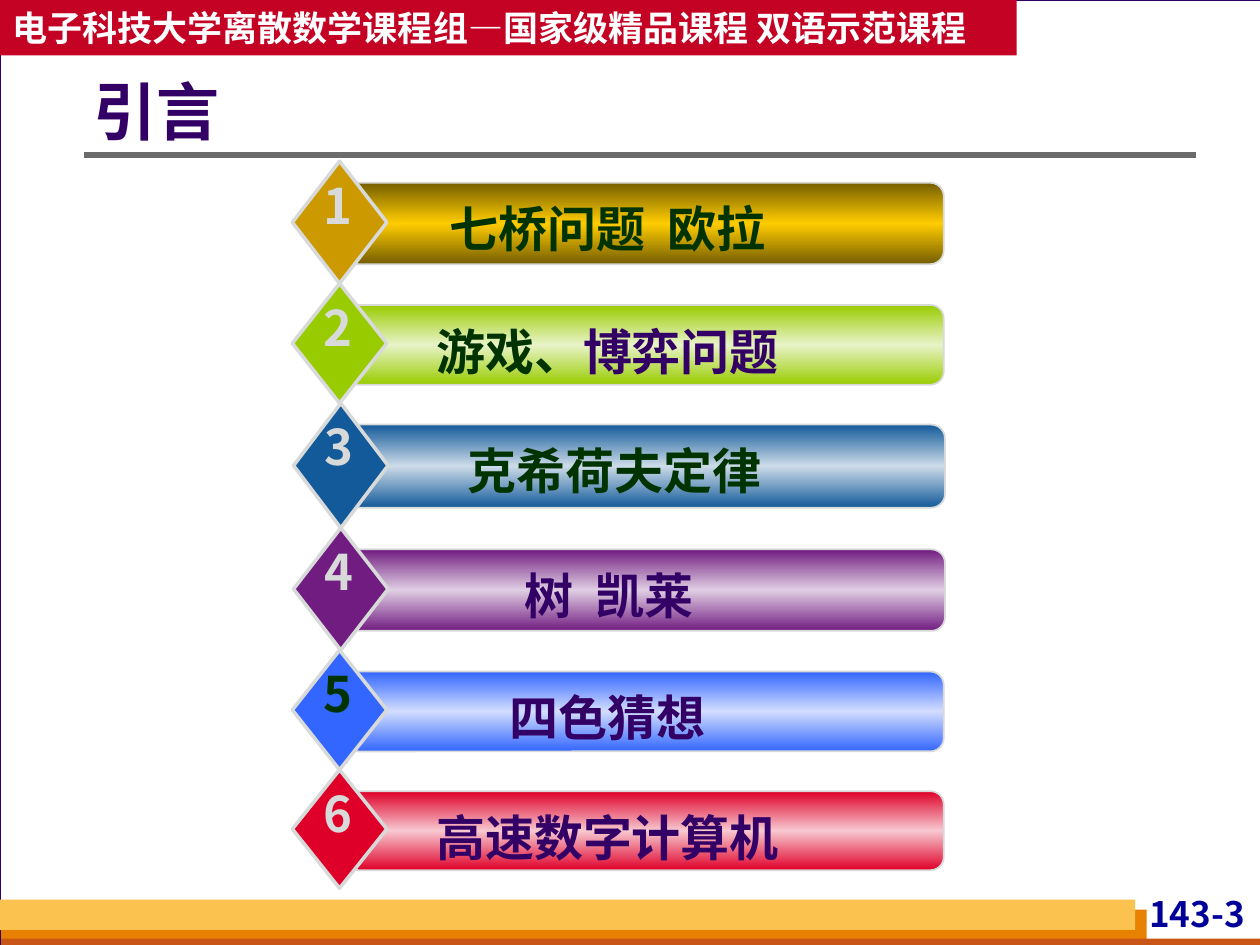
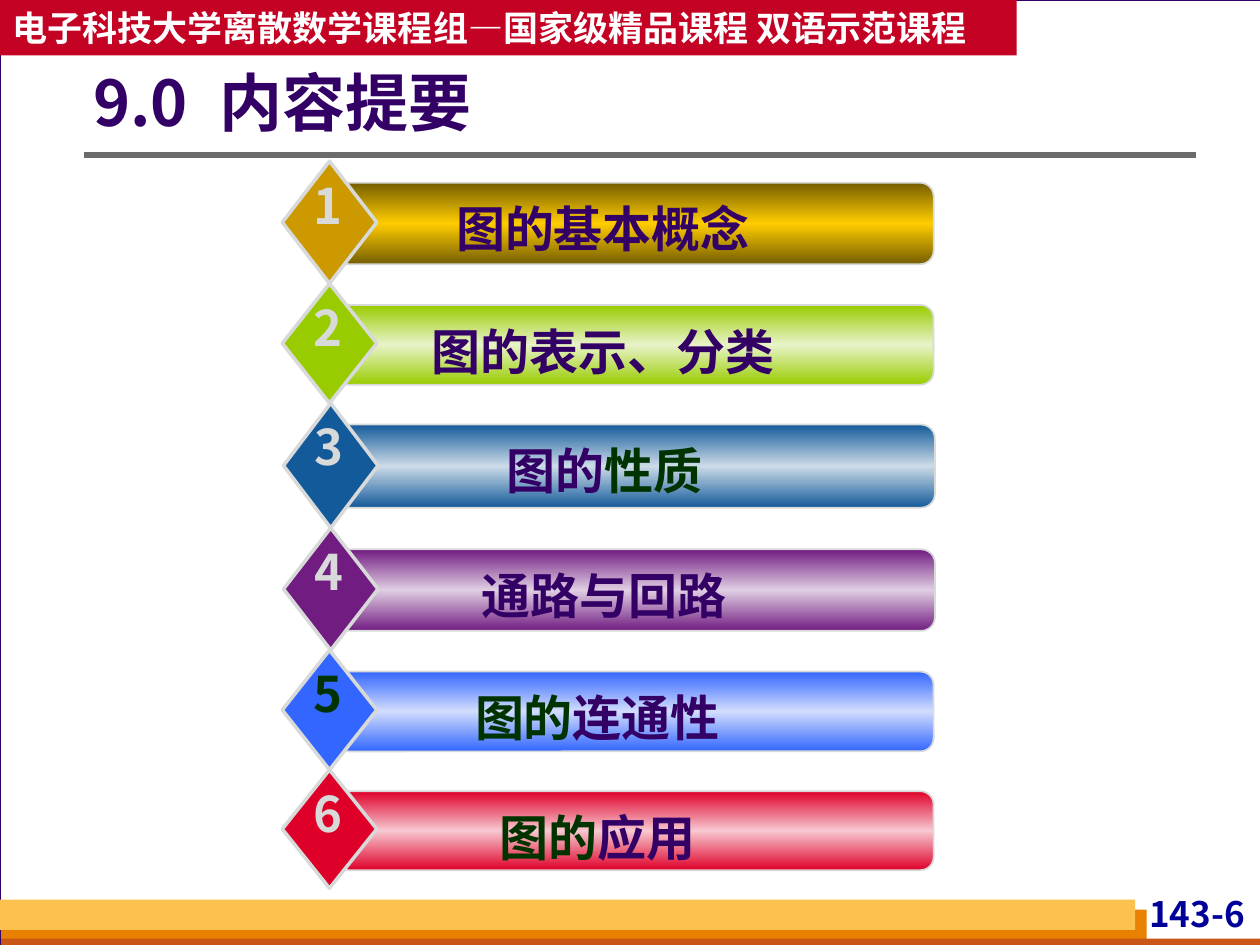
from copy import deepcopy

from pptx import Presentation
from pptx.dml.color import RGBColor
from pptx.enum.shapes import MSO_CONNECTOR as Connector, MSO_SHAPE as Shape
from pptx.enum.text import MSO_ANCHOR as Anchor, MSO_AUTO_SIZE as AutoSize, PP_ALIGN as Align
from pptx.oxml.ns import qn
from pptx.util import Inches, Pt

WHITE = RGBColor(0xFF, 0xFF, 0xFF)
SILVER = RGBColor(0xD8, 0xDA, 0xDA)
GRAY = RGBColor(0x6B, 0x6B, 0x6B)
PURPLE = RGBColor(0x33, 0x00, 0x66)
DARK_GREEN = RGBColor(0x00, 0x33, 0x00)
NAVY = RGBColor(0x00, 0x00, 0x99)
BANNER_RED = RGBColor(0xC3, 0x02, 0x24)
ORANGE = RGBColor(0xE8, 0x80, 0x00)
RUST = RGBColor(0xC9, 0x56, 0x16)
AMBER = RGBColor(0xFC, 0xC2, 0x4F)
OCHRE = RGBColor(0xCC, 0x99, 0x00)
BRONZE = RGBColor(0x75, 0x5E, 0x00)
GOLD = RGBColor(0xFF, 0xCC, 0x00)
LIME = RGBColor(0x99, 0xCC, 0x00)
PALE_LIME = RGBColor(0xE8, 0xF3, 0xC8)
STEEL = RGBColor(0x13, 0x5A, 0x9A)
PALE_STEEL = RGBColor(0xCC, 0xDB, 0xE8)
VIOLET = RGBColor(0x71, 0x1C, 0x81)
PALE_VIOLET = RGBColor(0xE0, 0xCE, 0xE3)
BLUE = RGBColor(0x33, 0x66, 0xFF)
PALE_BLUE = RGBColor(0xD2, 0xDD, 0xFE)
CRIMSON = RGBColor(0xDF, 0x00, 0x29)
PALE_CRIMSON = RGBColor(0xF7, 0xC8, 0xD0)

FONT = "Noto Sans CJK SC"
BANNER_TEXT = "电子科技大学离散数学课程组—国家级精品课程 双语示范课程"

# diamond colour, bar edge, bar middle, number colour, diamond height, shift to the right
ROWS = [
    (OCHRE, BRONZE, GOLD, SILVER, 0.97, 0),
    (LIME, LIME, PALE_LIME, SILVER, 0.95, 0),
    (STEEL, STEEL, PALE_STEEL, SILVER, 0.99, 0.01),
    (VIOLET, VIOLET, PALE_VIOLET, SILVER, 0.97, 0.01),
    (BLUE, BLUE, PALE_BLUE, DARK_GREEN, 0.95, 0),
    (CRIMSON, CRIMSON, PALE_CRIMSON, SILVER, 0.94, 0),
]
ROWS_TOP = 1.28


class Deck:
    def __init__(self):
        self.presentation = Presentation()
        self.presentation.slide_width = Inches(10)
        self.presentation.slide_height = Inches(7.5)
        self.slide = None

    def add_slide(self, title, title_top, page):
        self.slide = self.presentation.slides.add_slide(self.presentation.slide_layouts[5])
        background = self.slide.background.fill
        background.solid()
        background.fore_color.rgb = SILVER
        self.frame(page)
        self.title(title, title_top)

    def frame(self, page):
        """Draw the page border, footer bands, page number, rule and banner."""
        shapes = self.slide.shapes
        self.shape(shapes, Shape.RECTANGLE, (0, 0, 10.01, 7.5), WHITE, PURPLE, 0.75)
        self.shape(shapes, Shape.RECTANGLE, (0.01, 7.22, 9.09, 0.28), ORANGE)
        self.shape(shapes, Shape.RECTANGLE, (0.01, 7.45, 10, 0.08), RUST)
        self.shape(shapes, Shape.RECTANGLE, (0, 7.14, 9.01, 0.24), AMBER)
        self.text_box(shapes, (8.7, 7.08, 1.22, 0.38), [(page, NAVY)], 20,
                      Align.RIGHT, insets=(0.04, 0))
        self.line(0.67, 1.23, 9.49)
        banner = self.shape(shapes, Shape.RECTANGLE, (0, 0, 8.07, 0.44), BANNER_RED)
        self.set_text(banner.text_frame, [(BANNER_TEXT, WHITE)], 20, Align.LEFT,
                      Anchor.MIDDLE, wrap=False)

    def title(self, text, top):
        title = self.slide.shapes.title
        title.left, title.top = Inches(0.74), Inches(top)
        title.width, title.height = Inches(8.68), Inches(0.77)
        title.element.getparent().append(title.element)  # in front of the frame
        paragraph = self.set_text(title.text_frame, [], 36, Align.LEFT, Anchor.MIDDLE)
        title.text_frame.margin_left = 0
        paragraph.line_spacing = 0.9
        properties = paragraph._p.get_or_add_pPr()
        tabs = properties.makeelement(qn("a:tabLst"), {})
        tabs.append(tabs.makeelement(qn("a:tab"), {"pos": str(Inches(1)), "algn": "l"}))
        properties.append(tabs)
        self.run(paragraph, text, PURPLE, 36)

    def shape(self, shapes, kind, box, fill, line=None, line_width=1):
        shape = shapes.add_shape(kind, *map(Inches, box))
        shape.shadow.inherit = False
        if isinstance(fill, RGBColor):
            shape.fill.solid()
            shape.fill.fore_color.rgb = fill
        else:
            self.mirror_gradient(shape, *fill)
        if line is None:
            shape.line.fill.background()
        else:
            shape.line.color.rgb = line
            shape.line.width = Pt(line_width)
        return shape

    def mirror_gradient(self, shape, edge, middle):
        """Fill from edge to middle and back, top to bottom."""
        shape.fill.gradient()
        shape.fill.gradient_angle = 270
        stop_list = shape.element.find(".//" + qn("a:gsLst"))
        stop_list.append(deepcopy(stop_list[0]))
        stops = zip(shape.fill.gradient_stops, (0, 0.5, 1), (edge, middle, edge))
        for stop, position, color in stops:
            stop.position = position
            stop.color.rgb = color

    def line(self, left, top, right):
        line = self.slide.shapes.add_connector(
            Connector.STRAIGHT, Inches(left), Inches(top), Inches(right), Inches(top))
        line.line.color.rgb = GRAY
        line.line.width = Pt(3)
        properties = line.element.spPr
        properties.append(properties.makeelement(qn("a:effectLst"), {}))

    def text_box(self, shapes, box, runs, size, align, insets=(0.1, 0.05), wrap=True):
        frame = shapes.add_textbox(*map(Inches, box)).text_frame
        self.set_text(frame, runs, size, align, Anchor.TOP, insets, wrap)
        frame.auto_size = AutoSize.SHAPE_TO_FIT_TEXT

    def set_text(self, frame, runs, size, align, anchor, insets=(0.1, 0.05), wrap=True):
        frame.auto_size = AutoSize.NONE
        frame.word_wrap = wrap
        frame.vertical_anchor = anchor
        frame.margin_left = frame.margin_right = Inches(insets[0])
        frame.margin_top = frame.margin_bottom = Inches(insets[1])
        paragraph = frame.paragraphs[0]
        paragraph.alignment = align
        for text, color, *options in runs:
            self.run(paragraph, text, color, size, *options)
        return paragraph

    def run(self, paragraph, text, color, size, font=FONT, spacing=0):
        """Add a bold run; spacing widens its characters, in points."""
        run = paragraph.add_run()
        run.text = text
        run.font.size = Pt(size)
        run.font.bold = True
        run.font.color.rgb = color
        run.font.name = font
        properties = run._r.get_or_add_rPr()
        properties.find(qn("a:latin")).addnext(
            properties.makeelement(qn("a:ea"), {"typeface": FONT}))
        if spacing:
            properties.set("spc", str(round(spacing * 100)))

    def numbered_bars(self, left, labels):
        top = ROWS_TOP
        for number, (row, label) in enumerate(zip(ROWS, labels), 1):
            diamond, edge, middle, number_color, height, shift = row
            x = left + shift
            shapes = self.slide.shapes.add_group_shape().shapes
            self.shape(shapes, Shape.ROUNDED_RECTANGLE,
                       (x + 0.42, top + 0.17, 4.75, height * 2 / 3), (edge, middle), SILVER)
            self.shape(shapes, Shape.DIAMOND, (x, top, 0.75, height), diamond, SILVER, 2)
            self.text_box(shapes, (x + 0.67, top + 0.25, 3.75, 0.57), label, 28, Align.CENTER)
            self.text_box(shapes, (x + 0.15, top + 0.06, 0.42, 0.57),
                          [(str(number), number_color)], 28, Align.CENTER, wrap=False)
            top += height


def main():
    deck = Deck()
    wide_gap = (FONT, 6.3)

    deck.add_slide("引言", 0.53, "143-3")
    deck.numbered_bars(2.32, [
        [("七桥问题", DARK_GREEN), (" ", DARK_GREEN, *wide_gap), ("欧拉 ", DARK_GREEN)],
        [("游戏、", DARK_GREEN), ("博弈问题 ", PURPLE, "Arial")],
        [("克希荷夫定律", DARK_GREEN)],
        [("树", PURPLE), (" ", PURPLE, *wide_gap), ("凯莱 ", PURPLE)],
        [("四色猜想 ", PURPLE)],
        [("高速数字计算机 ", PURPLE)],
    ])

    deck.add_slide("9.0\t内容提要", 0.46, "143-6")
    deck.numbered_bars(2.24, [
        [("图的基本概念", PURPLE)],
        [("图的表示、分类", PURPLE)],
        [("图的", PURPLE), ("性质", DARK_GREEN)],
        [("通路与回路", PURPLE)],
        [("图的", DARK_GREEN), ("连通性 ", PURPLE)],
        [("图的", DARK_GREEN), ("应用 ", PURPLE)],
    ])

    deck.presentation.save("out.pptx")


if __name__ == "__main__":
    main()
